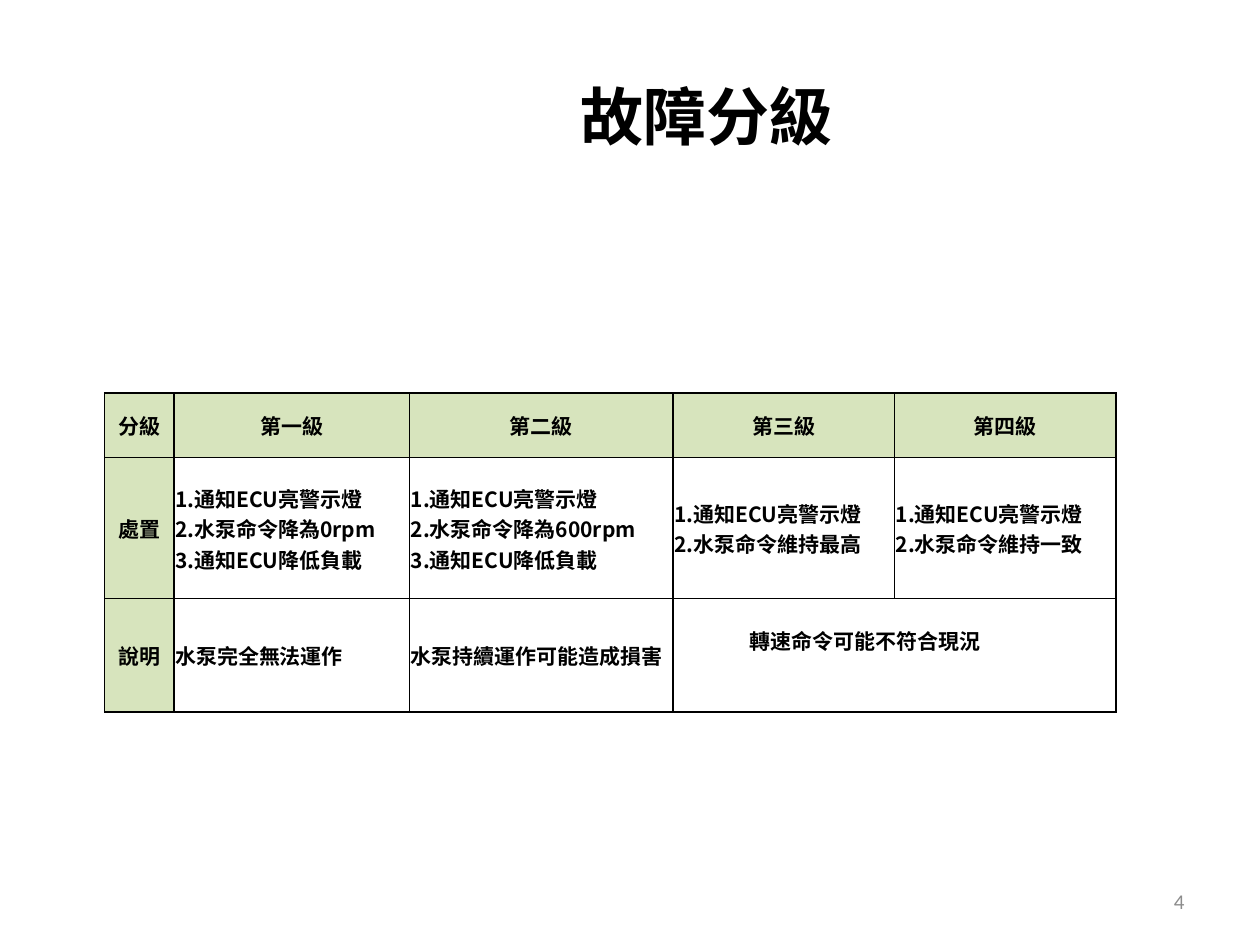
from lxml.etree import SubElement
from pptx import Presentation
from pptx.dml.color import RGBColor
from pptx.enum.text import MSO_ANCHOR as Anchor, PP_ALIGN as Align
from pptx.oxml import parse_xml
from pptx.oxml.ns import nsdecls, qn
from pptx.util import Inches, Pt

CJK_FONT = "Noto Sans CJK SC"
COLUMN_WIDTHS = [0.55, 1.87, 2.09, 1.76, 1.76]
ROW_HEIGHTS = [0.51, 1.12, 0.9]
ALERT = "1.通知ECU亮警示燈\n2.水泵命令"
REDUCE_LOAD = "\n3.通知ECU降低負載"
GRADES = [
    ["分級", "第一級", "第二級", "第三級", "第四級"],
    ["處置", ALERT + "降為0rpm" + REDUCE_LOAD, ALERT + "降為600rpm" + REDUCE_LOAD,
     ALERT + "維持最高", ALERT + "維持一致"],
    ["說明", "水泵完全無法運作", "水泵持續運作可能造成損害", "轉速命令可能不符合現況", ""],
]


def hex_color(value):
    return RGBColor.from_string(value)


def apply_format(target, values):
    for name, value in values.items():
        setattr(target, name, value)


class SlideBuilder:
    ink = "000000"
    header_fill = "D7E4BD"
    border_width = Pt(1)
    cell_format = {
        "vertical_anchor": Anchor.MIDDLE,
        "margin_left": Inches(0.01),
        "margin_right": Inches(0.01),
        "margin_top": Inches(0.01),
        "margin_bottom": 0,
    }

    def __init__(self, slide):
        self.slide = slide

    def fill_text(self, text_frame, text, size, align, color=ink, font=CJK_FONT, bold=True):
        paragraph = text_frame.paragraphs[0]
        paragraph.text = text
        paragraph.alignment = align
        for run in paragraph.runs:
            apply_format(run.font, {"name": font, "size": Pt(size), "bold": bold})
            run.font.color.rgb = hex_color(color)
            SubElement(run._r.get_or_add_rPr(), qn("a:ea"), typeface=font)

    def text(self, box, text, size, align, **style):
        shape = self.slide.shapes.add_textbox(*map(Inches, box))
        apply_format(shape.text_frame, {"word_wrap": True, "vertical_anchor": Anchor.MIDDLE})
        self.fill_text(shape.text_frame, text, size, align, **style)

    def borders(self, cell):
        properties = cell._tc.get_or_add_tcPr()
        for index, side in enumerate("LRTB"):
            properties.insert(index, parse_xml(
                f'<a:ln{side} {nsdecls("a")} w="{self.border_width}"><a:solidFill>'
                f'<a:srgbClr val="{self.ink}"/></a:solidFill></a:ln{side}>'))

    def cell(self, cell, text, is_header):
        apply_format(cell, self.cell_format)
        if is_header:
            cell.fill.solid()
            cell.fill.fore_color.rgb = hex_color(self.header_fill)
        else:
            cell.fill.background()
        self.borders(cell)
        if text:
            self.fill_text(cell.text_frame, text, 12, Align.CENTER if is_header else Align.LEFT)

    def table(self, left, top, widths, heights, rows):
        table = self.slide.shapes.add_table(
            len(heights), len(widths), Inches(left), Inches(top),
            Inches(sum(widths)), Inches(sum(heights))).table
        apply_format(table, {"first_row": False, "horz_banding": False})
        for column, width in zip(table.columns, widths):
            column.width = Inches(width)
        for row, height in zip(table.rows, heights):
            row.height = Inches(height)
        for row_index, row in enumerate(rows):
            for column_index, text in enumerate(row):
                self.cell(table.cell(row_index, column_index), text,
                          row_index == 0 or column_index == 0)
        return table


def main():
    presentation = Presentation()
    presentation.slide_width = Inches(10)
    presentation.slide_height = Inches(7.5)
    slide = presentation.slides.add_slide(presentation.slide_layouts[6])
    builder = SlideBuilder(slide)

    builder.text((1.61, 0.29, 7.99, 1.25), "故障分級", 36, Align.CENTER)
    builder.text((7.17, 6.95, 2.33, 0.4), "4", 12, Align.RIGHT,
                 color="8C8C8C", font="Calibri", bold=False)
    table = builder.table(0.83, 3.12, COLUMN_WIDTHS, ROW_HEIGHTS, GRADES)
    shared_note = table.cell(2, 3)
    shared_note.merge(table.cell(2, 4))
    apply_format(shared_note, {"margin_left": Inches(0.61), "margin_bottom": Inches(0.25)})

    presentation.save("out.pptx")


if __name__ == "__main__":
    main()
